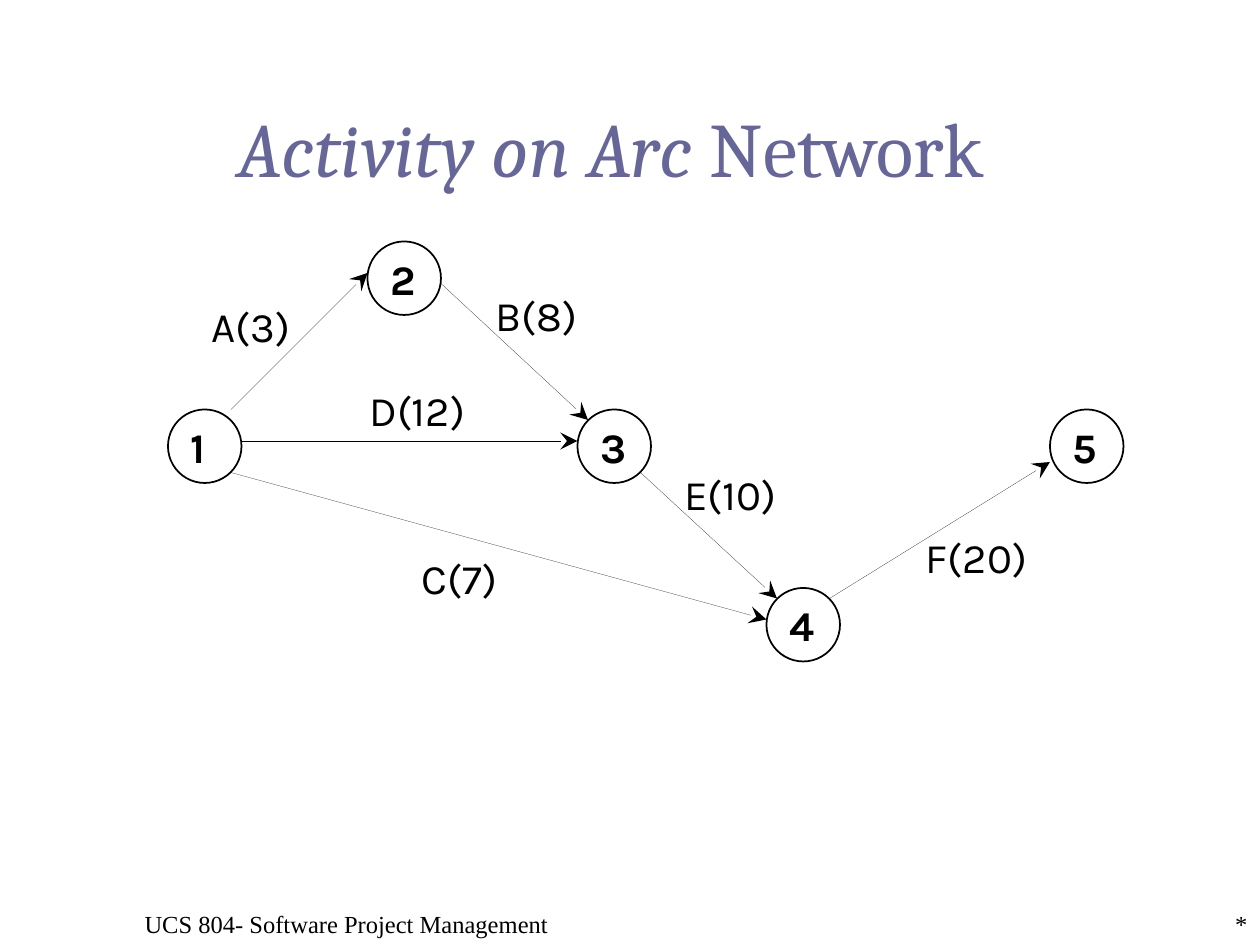
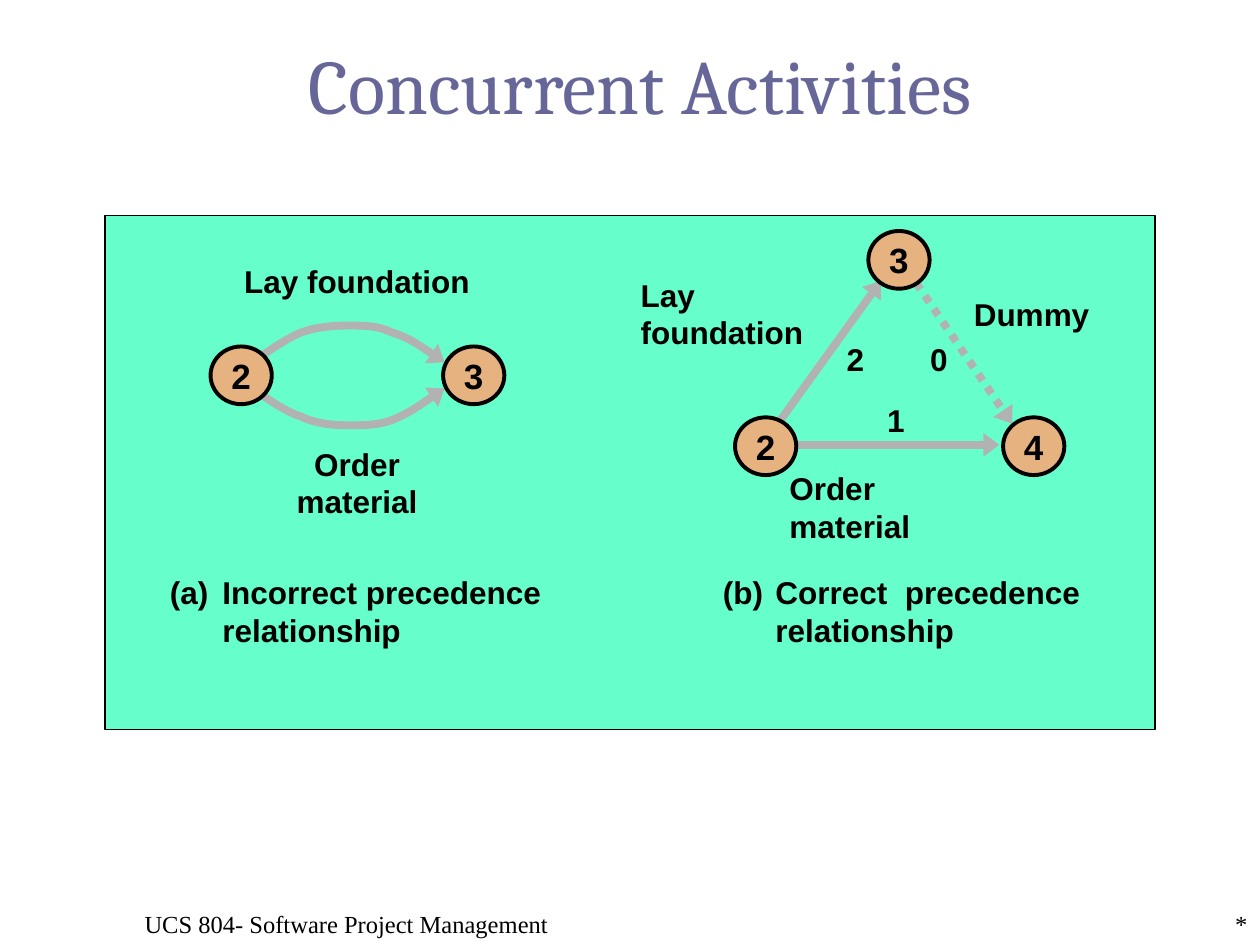
from dataclasses import dataclass
from typing import NamedTuple, Optional

import lxml.etree
import pptx
import pptx.dml.color
import pptx.enum.dml
import pptx.enum.shapes
import pptx.enum.text
import pptx.oxml.ns
import pptx.util

Pt = pptx.util.Pt
qn = pptx.oxml.ns.qn
Align = pptx.enum.text.PP_ALIGN
Anchor = pptx.enum.text.MSO_ANCHOR
Preset = pptx.enum.shapes.MSO_SHAPE


@dataclass(frozen=True)
class Theme:
    ink: str = "000000"
    title: str = "666699"
    panel: str = "66FFCC"
    node: str = "E6B380"
    arrow: str = "B2B2B2"
    title_font: str = "Cambria"
    footer_font: str = "Times New Roman"
    network_font: str = "Karla"
    panel_font: str = "Arial"
    title_size: float = 44
    network_size: float = 24
    node_size: float = 20
    label_size: float = 18
    footer_size: float = 14


THEME = Theme()
TITLE_ONLY = 5


class Box(NamedTuple):
    left: float
    top: float
    width: float
    height: float

    def lengths(self) -> list:
        return [Pt(value) for value in self]


class Node(NamedTuple):
    number: str
    left: float
    top: float


class Arc(NamedTuple):
    start: tuple
    end: tuple
    dotted: bool = False


class Label(NamedTuple):
    text: str
    box: Box
    align: Optional[int] = None
    wrap: bool = False
    hanging: float = 0


class ArrowStyle(NamedTuple):
    """Line and head of an arrow; without a weight the default width holds."""
    color: str
    head: str
    head_width: str
    head_length: str
    weight: Optional[float] = None


THIN_ARROW = ArrowStyle(THEME.ink, "stealth", "lg", "lg")
THICK_ARROW = ArrowStyle(THEME.arrow, "triangle", "med", "sm", 4.5)

NETWORK_NODE = 42
NETWORK_NODES = [
    Node("1", 96, 234), Node("2", 210, 138), Node("3", 330, 234),
    Node("4", 438, 336), Node("5", 600, 234),
]
NETWORK_ARCS = [
    Arc((132, 234), (210, 156)), Arc((138, 252), (330, 252)),
    Arc((252, 162), (336, 240)), Arc((366, 270), (444, 342)),
    Arc((132, 270), (438, 354)), Arc((474, 342), (600, 264)),
]
NETWORK_LABELS = [
    Label("A(3)", Box(114, 168, 66, 36)), Label("D(12)", Box(204, 216, 78, 36)),
    Label("B(8)", Box(276, 162, 66, 36)), Label("E(10)", Box(384, 264, 84, 36)),
    Label("C(7)", Box(234, 312, 66, 36)), Label("F(20)", Box(522, 300, 84, 36)),
]

PANEL = Box(60, 123, 600, 294)
PANEL_NODE = Box(0, 0, 35, 33)
PANEL_NODES = [
    Node("2", 120.3, 198), Node("3", 253.2, 198),
    Node("3", 496.2, 132), Node("4", 573.2, 238.5), Node("2", 420, 238.5),
]
PANEL_ARCS = [
    Arc((440, 248.4), (503.3, 160.6)),
    Arc((518.4, 154.1), (578.2, 242), dotted=True),
    Arc((444.2, 254.2), (571, 254.2)),
]
# Start point, then two control points and an end point for each segment.
UPPER_CURVE = [
    (144.5, 206.6),
    (149, 204), (162, 194), (171.5, 190.5),
    (180.5, 187), (190, 186), (199, 186),
    (208, 186), (215.5, 186), (224.5, 189.5),
    (233.5, 193), (247.5, 203), (254, 206.6),
]
CURVE_AXIS = 214.5
LOWER_CURVE = [(x, 2 * CURVE_AXIS - y) for x, y in UPPER_CURVE]
PANEL_LABELS = [
    Label("Lay foundation", Box(132.5, 146.2, 143, 29), Align.CENTER),
    Label("Order material", Box(136, 250.5, 136, 29), Align.CENTER, wrap=True),
    Label("(a)\tIncorrect precedence relationship", Box(90, 324, 229, 50.5),
          wrap=True, hanging=30),
    Label("(b)\tCorrect  precedence relationship", Box(406, 324, 220, 50.5),
          wrap=True, hanging=30),
    Label("Dummy", Box(549.4, 164.9, 80, 29)),
    Label("Lay\nfoundation", Box(359, 154, 107.3, 50.5)),
    Label("Order material", Box(444, 264.5, 136, 29), wrap=True),
    Label("1", Box(499.7, 225.4, 24.5, 29), Align.CENTER),
    Label("2", Box(476.6, 190.8, 24.5, 29), Align.CENTER),
    Label("0", Box(524.2, 190.8, 24.5, 29), Align.CENTER),
]


def rgb(color: str) -> pptx.dml.color.RGBColor:
    return pptx.dml.color.RGBColor.from_string(color)


def write(frame, text: str, *, font: str, size: float, color: str = THEME.ink,
          bold: bool = False, italic_lead: str = "", align=None,
          anchor=Anchor.TOP, wrap: bool = True, hanging: float = 0) -> None:
    """Fill a text frame, one paragraph a line; italic_lead opens the first."""
    frame.word_wrap = wrap
    frame.auto_size = pptx.enum.text.MSO_AUTO_SIZE.NONE
    frame.vertical_anchor = anchor
    for index, line in enumerate(text.split("\n")):
        paragraph = frame.add_paragraph() if index else frame.paragraphs[0]
        paragraph.alignment = align or Align.LEFT
        if hanging:
            properties = paragraph._p.get_or_add_pPr()
            properties.set("marL", str(Pt(hanging)))
            properties.set("indent", str(-Pt(hanging)))
        lead = italic_lead if index == 0 else ""
        for words, italic in ((lead, True), (line, False)):
            if words:
                run = paragraph.add_run()
                run.text = words
                run.font.name = font
                run.font.size = Pt(size)
                run.font.color.rgb = rgb(color)
                run.font.bold = bold
                run.font.italic = italic


def add_text(slide, text: str, box: Box, **text_format) -> None:
    frame = slide.shapes.add_textbox(*box.lengths()).text_frame
    write(frame, text, **text_format)


def add_outlined(slide, preset, box: Box, weight: float, fill: Optional[str] = None):
    shape = slide.shapes.add_shape(preset, *box.lengths())
    shape.shadow.inherit = False
    if fill:
        shape.fill.solid()
        shape.fill.fore_color.rgb = rgb(fill)
    else:
        shape.fill.background()
    shape.line.color.rgb = rgb(THEME.ink)
    shape.line.width = Pt(weight)
    return shape


def style_arrow(arrow, style: ArrowStyle, dotted: bool = False) -> None:
    """Replace the theme's line style, shadow included, by the given one."""
    arrow.element.remove(arrow.element.find(qn("p:style")))
    arrow.line.color.rgb = rgb(style.color)
    if style.weight:
        arrow.line.width = Pt(style.weight)
    if dotted:
        arrow.line.dash_style = pptx.enum.dml.MSO_LINE.ROUND_DOT
    properties = arrow.element.spPr
    lxml.etree.SubElement(properties.find(qn("a:ln")), qn("a:tailEnd"),
                          type=style.head, w=style.head_width, len=style.head_length)
    lxml.etree.SubElement(properties, qn("a:effectLst"))


def add_arc(slide, arc: Arc, style: ArrowStyle) -> None:
    ends = [Pt(value) for value in (*arc.start, *arc.end)]
    connector = slide.shapes.add_connector(
        pptx.enum.shapes.MSO_CONNECTOR.STRAIGHT, *ends)
    style_arrow(connector, style, arc.dotted)


def add_curve(slide, points: list, style: ArrowStyle) -> None:
    """Draw an open freeform whose points, taken by threes, are Bézier segments."""
    builder = slide.shapes.build_freeform(*points[0], scale=Pt(1))
    builder.add_line_segments(points[1:], close=False)
    curve = builder.convert_to_shape()
    curve.fill.background()
    outline = curve.element.find(".//" + qn("a:path"))
    steps = outline.findall(qn("a:lnTo"))
    for first in range(0, len(steps), 3):
        bezier = lxml.etree.SubElement(outline, qn("a:cubicBezTo"))
        for step in steps[first:first + 3]:
            bezier.append(step[0])
            outline.remove(step)
    style_arrow(curve, style)


def add_titled_slide(deck, title: str, box: Box, anchor, italic_lead: str = ""):
    slide = deck.slides.add_slide(deck.slide_layouts[TITLE_ONLY])
    heading = slide.shapes.title
    heading.left, heading.top, heading.width, heading.height = box.lengths()
    write(heading.text_frame, title, font=THEME.title_font, size=THEME.title_size,
          color=THEME.title, italic_lead=italic_lead, align=Align.CENTER, anchor=anchor)
    footers = [("*", Box(642, 516, 78, 24), Align.RIGHT),
               ("UCS 804- Software Project Management", Box(0, 516, 396, 24),
                Align.CENTER)]
    for text, place, align in footers:
        add_text(slide, text, place, font=THEME.footer_font,
                 size=THEME.footer_size, align=align)
    return slide


def build_arc_network(deck) -> None:
    slide = add_titled_slide(deck, " Network ", Box(48, 24, 612, 90),
                             Anchor.BOTTOM, italic_lead="Activity on Arc")
    for node in NETWORK_NODES:
        circle = add_outlined(slide, Preset.OVAL,
                              Box(node.left, node.top, NETWORK_NODE, NETWORK_NODE), 1)
        frame = circle.text_frame
        frame.margin_left = Pt(7)
        frame.margin_right = frame.margin_top = frame.margin_bottom = 0
        write(frame, node.number, font=THEME.network_font, size=THEME.network_size,
              bold=True, anchor=Anchor.MIDDLE)
    for arc in NETWORK_ARCS:
        add_arc(slide, arc, THIN_ARROW)
    for label in NETWORK_LABELS:
        add_text(slide, label.text, label.box, font=THEME.network_font,
                 size=THEME.network_size)


def build_concurrent_activities(deck) -> None:
    slide = add_titled_slide(deck, "Concurrent Activities", Box(36, 24, 660, 48),
                             Anchor.MIDDLE)
    add_outlined(slide, Preset.RECTANGLE, PANEL, 0.75, THEME.panel)
    for curve in (LOWER_CURVE, UPPER_CURVE):
        add_curve(slide, curve, THICK_ARROW)
    for arc in PANEL_ARCS:
        add_arc(slide, arc, THICK_ARROW)
    for node in PANEL_NODES:
        circle = add_outlined(slide, Preset.OVAL,
                              PANEL_NODE._replace(left=node.left, top=node.top),
                              2.25, THEME.node)
        write(circle.text_frame, node.number, font=THEME.panel_font,
              size=THEME.node_size, bold=True, align=Align.CENTER,
              anchor=Anchor.MIDDLE, wrap=False)
    for label in PANEL_LABELS:
        add_text(slide, label.text, label.box, font=THEME.panel_font,
                 size=THEME.label_size, bold=True, align=label.align,
                 wrap=label.wrap, hanging=label.hanging)


def main() -> None:
    deck = pptx.Presentation()
    deck.slide_width, deck.slide_height = Pt(720), Pt(540)
    build_arc_network(deck)
    build_concurrent_activities(deck)
    deck.save("out.pptx")


if __name__ == "__main__":
    main()
